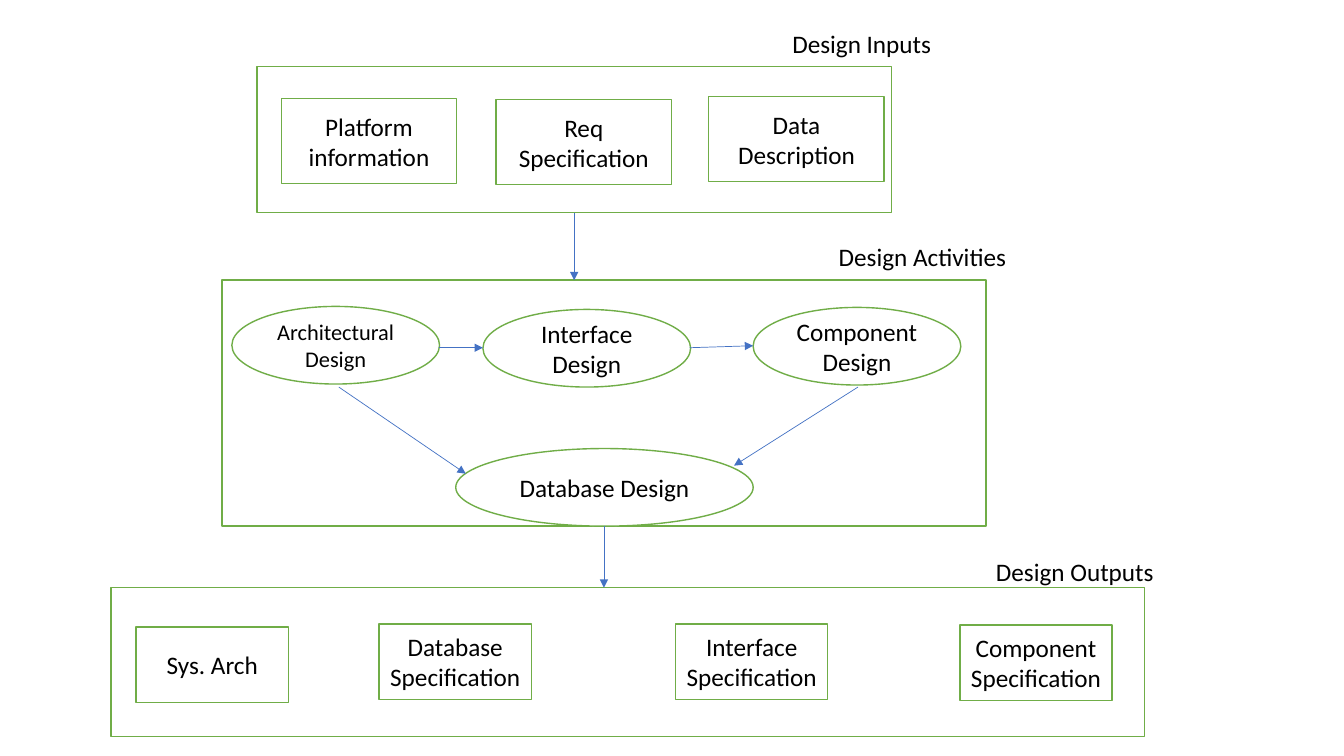
"""Build a slide showing design inputs, activities and outputs."""
import pptx
import pptx.dml.color
import pptx.enum.shapes
import pptx.enum.text
import pptx.oxml
import pptx.oxml.ns
import pptx.util

Inches = pptx.util.Inches
Pt = pptx.util.Pt
SHAPE = pptx.enum.shapes.MSO_SHAPE
WHITE = pptx.dml.color.RGBColor(0xFF, 0xFF, 0xFF)
BLACK = pptx.dml.color.RGBColor(0, 0, 0)
GREEN = pptx.dml.color.RGBColor(0x70, 0xAD, 0x47)
BLUE = pptx.dml.color.RGBColor(0x44, 0x72, 0xC4)


def write(paragraph, text, size=18):
    """Add one black Calibri run to a paragraph."""
    run = paragraph.add_run()
    run.text = text
    run.font.name = "Calibri"
    run.font.size = Pt(size)
    run.font.color.rgb = BLACK


def add_node(slide, kind, box, text="", size=18):
    """Draw a white shape with a green outline and centred text."""
    node = slide.shapes.add_shape(kind, *map(Inches, box))
    node.shadow.inherit = False
    node.fill.solid()
    node.fill.fore_color.rgb = WHITE
    node.line.color.rgb = GREEN
    node.line.width = Pt(1)
    if text:
        node.text_frame.word_wrap = True
        node.text_frame.vertical_anchor = pptx.enum.text.MSO_ANCHOR.MIDDLE
        paragraph = node.text_frame.paragraphs[0]
        paragraph.alignment = pptx.enum.text.PP_ALIGN.CENTER
        write(paragraph, text, size)
    return node


def add_heading(slide, box, text):
    """Write the name of a stage above its frame."""
    heading = slide.shapes.add_textbox(*map(Inches, box))
    heading.text_frame.word_wrap = True
    heading.text_frame.auto_size = pptx.enum.text.MSO_AUTO_SIZE.SHAPE_TO_FIT_TEXT
    write(heading.text_frame.paragraphs[0], text)


def add_arrow(slide, start, end):
    """Draw a thin blue arrow between two points."""
    arrow = slide.shapes.add_connector(
        pptx.enum.shapes.MSO_CONNECTOR.STRAIGHT, *map(Inches, (*start, *end)))
    arrow.line.color.rgb = BLUE
    arrow.line.width = Pt(0.5)
    outline = arrow.line._get_or_add_ln()
    head = pptx.oxml.ns.qn("a:tailEnd")
    outline.append(outline.makeelement(head, {"type": "triangle"}))
    properties = arrow._element.spPr
    properties.append(properties.makeelement(pptx.oxml.ns.qn("a:effectLst"), {}))
    return arrow


def add_documents(slide, box, size, documents):
    """Draw a frame holding a row of equally sized document boxes."""
    left, top = box[:2]
    frame = add_node(slide, SHAPE.RECTANGLE, box)
    for text, dx, dy in documents:
        add_node(slide, SHAPE.RECTANGLE, (left + dx, top + dy, *size), text)
    return frame


def add_activities(slide, box):
    """Draw the frame of design activities and the arrows between them."""
    left, top = box[:2]
    frame = add_node(slide, SHAPE.RECTANGLE, box)
    activities = [
        ("Architectural Design", 0.1, 0.26, 2.06, 16),
        ("Interface Design", 2.59, 0.29, 2.06, 18),
        ("Database Design", 2.32, 1.67, 2.95, 18),
        ("Component Design", 5.27, 0.27, 2.06, 18),
    ]
    for text, dx, dy, width, size in activities:
        add_node(slide, SHAPE.OVAL, (left + dx, top + dy, width, 0.77), text, size)
    flows = [
        (2.15, 0.67, 2.59, 0.67),
        (1.16, 1.06, 2.42, 1.92),
        (6.31, 1.06, 5.08, 1.84),
        (4.64, 0.67, 5.27, 0.65),
    ]
    for x1, y1, x2, y2 in flows:
        add_arrow(slide, (left + x1, top + y1), (left + x2, top + y2))
    return frame


def link_stages(slide, frame, box, next_top):
    """Point an arrow from the bottom of a frame straight down to the next."""
    left, top, width, height = box
    middle = left + width / 2
    arrow = add_arrow(slide, (middle, top + height), (middle, next_top))
    arrow.begin_connect(frame, 2)


def main():
    """Build and save the slide."""
    deck = pptx.Presentation()
    deck.slide_width, deck.slide_height = Inches(13.33), Inches(7.5)
    slide = deck.slides.add_slide(deck.slide_layouts[6])
    inputs_box = (2.55, 0.66, 6.29, 1.45)
    activities_box = (2.2, 2.78, 7.58, 2.44)
    outputs_box = (1.1, 5.83, 10.25, 1.48)

    inputs = add_documents(slide, inputs_box, (1.74, 0.84), [
        ("Platform information", 0.24, 0.32),
        ("Req Specification", 2.37, 0.33),
        ("Data Description", 4.48, 0.3),
    ])
    activities = add_activities(slide, activities_box)
    add_documents(slide, outputs_box, (1.51, 0.75), [
        ("Sys. Arch", 0.25, 0.39),
        ("Database Specification", 2.66, 0.36),
        ("Interface Specification", 5.6, 0.36),
        ("Component Specification", 8.42, 0.37),
    ])
    link_stages(slide, inputs, inputs_box, activities_box[1])
    link_stages(slide, activities, activities_box, outputs_box[1])

    add_heading(slide, (9.78, 5.47, 2.45, 0.4), "Design Outputs")
    add_heading(slide, (8.22, 2.34, 2.52, 0.4), "Design Activities")
    add_heading(slide, (7.76, 0.23, 2.16, 0.4), "Design Inputs")
    deck.save("out.pptx")


if __name__ == "__main__":
    main()
